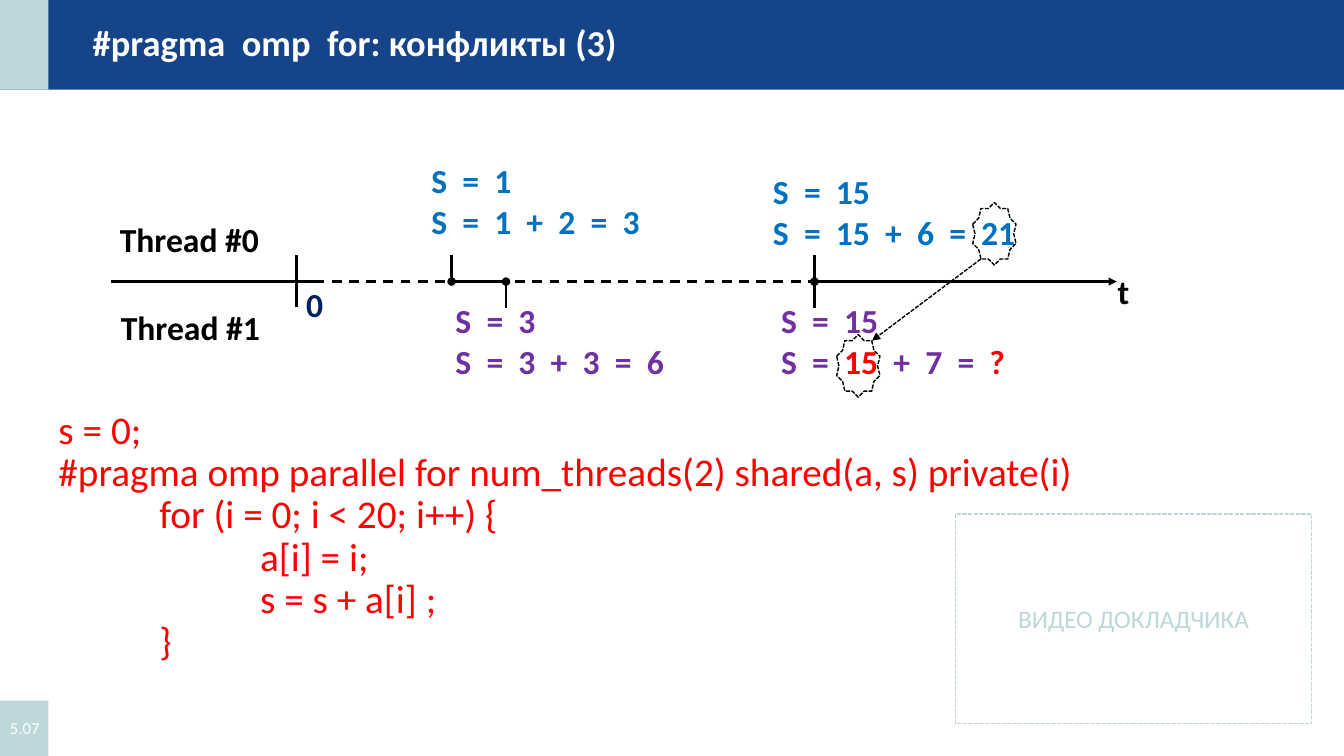
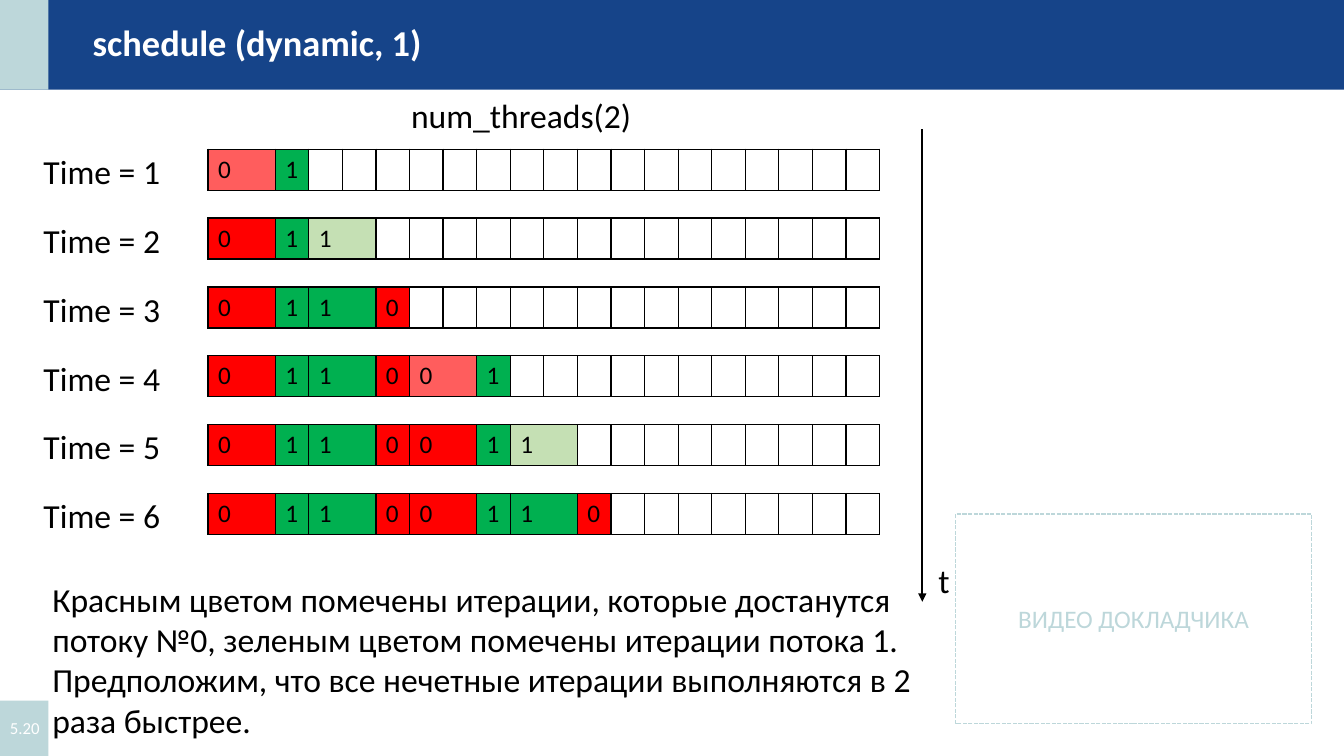
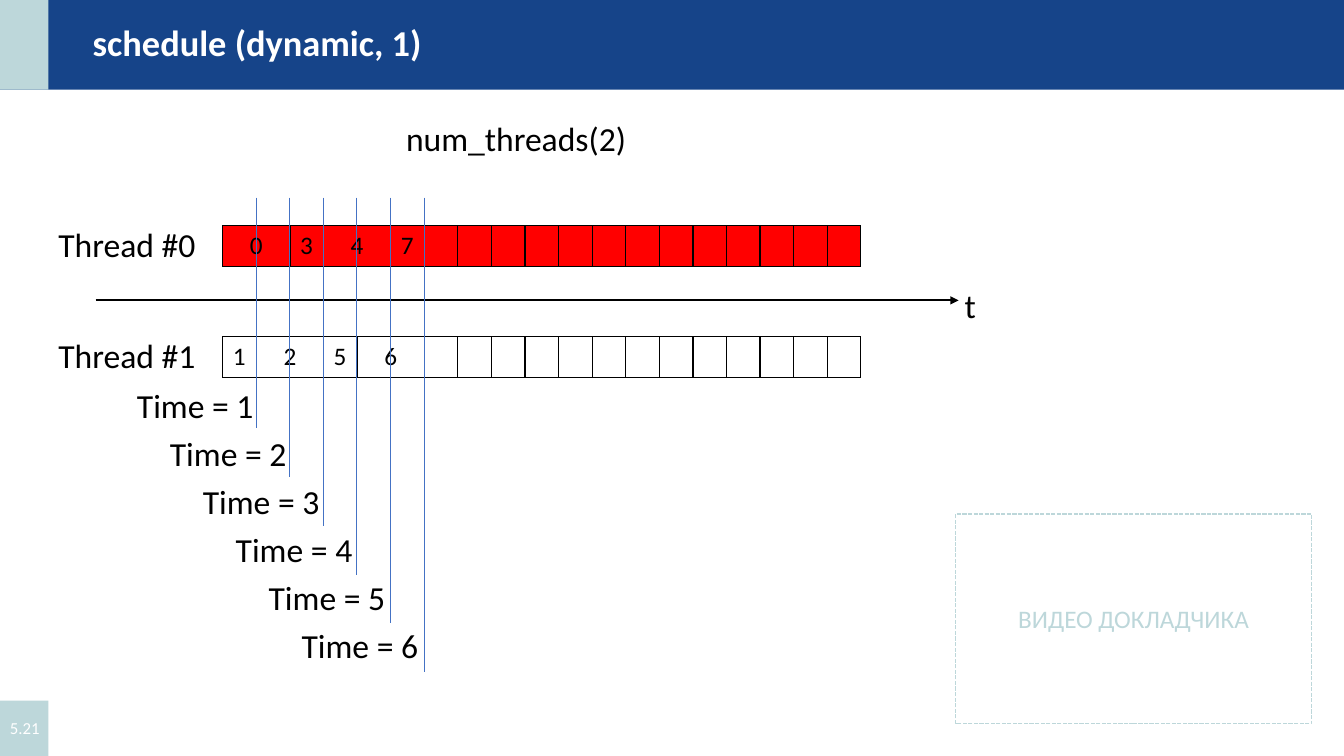
import dataclasses

import lxml.etree
import pptx
import pptx.dml.color
import pptx.enum.dml
import pptx.enum.shapes
import pptx.enum.text
import pptx.oxml.ns
import pptx.util

COLS, ROWS = 40, 22.5
UNIT = pptx.util.Inches(13.33) / COLS
SHAPE = pptx.enum.shapes.MSO_SHAPE
ALIGN = pptx.enum.text.PP_ALIGN
MIDDLE = pptx.enum.text.MSO_ANCHOR.MIDDLE
DASH = pptx.enum.dml.MSO_LINE.DASH
DOTS = pptx.enum.dml.MSO_LINE.SQUARE_DOT


@dataclasses.dataclass(frozen=True)
class Theme:
    font: str = "Calibri"
    navy: str = "164489"
    mist: str = "BDD7DA"
    white: str = "FFFFFF"
    black: str = "000000"
    red: str = "FF0000"
    rose: str = "FF5D5D"
    green: str = "00B050"
    lime: str = "C5E0B4"
    blue: str = "0070C0"
    violet: str = "7030A0"
    ink: str = "002060"
    mark: str = "4472C4"
    code: int = 28
    title: int = 26
    text: int = 24
    cell: int = 18
    page: int = 12


T = Theme()

# Iterations in order: the thread that runs each, and its length in cells
TASKS = [(0, 2), (1, 1), (1, 2), (0, 1), (0, 2), (1, 1), (1, 2), (0, 1)]
# For each time step: iterations handed out, and the one still running
STEPS = [(2, 0), (3, 2), (4, None), (6, 4), (7, 6), (8, None)]
DONE = (T.red, T.green)
BUSY = (T.rose, T.lime)


def span(*cells):
    """Grid cells to slide lengths."""
    return [round(cell * UNIT) for cell in cells]


def tint(name):
    return pptx.dml.color.RGBColor.from_string(name)


def node(home, tag, **attrs):
    return lxml.etree.SubElement(home, pptx.oxml.ns.qn(tag), attrs)


def assign(item, values):
    for name, value in values.items():
        setattr(item, name, value)


def write(frame, lines, size=T.text, color=T.black, bold=False, **para):
    """Each line is a string or a list of (text, colour) runs."""
    for num, line in enumerate(lines):
        item = frame.add_paragraph() if num else frame.paragraphs[0]
        assign(item, para)
        for text, shade in [(line, color)] if isinstance(line, str) else line:
            run = item.add_run()
            run.text = text
            assign(run.font, {"name": T.font, "size": pptx.util.Pt(size), "bold": bold})
            run.font.color.rgb = tint(shade)


def label(slide, box, *lines, **style):
    frame = slide.shapes.add_textbox(*span(*box)).text_frame
    frame.word_wrap = True
    write(frame, lines, **style)
    return frame


def block(slide, box, fill=None, line=None, kind=SHAPE.RECTANGLE):
    shape = slide.shapes.add_shape(kind, *span(*box))
    shape.shadow.inherit = False
    if fill:
        shape.fill.solid()
        shape.fill.fore_color.rgb = tint(fill)
    else:
        shape.fill.background()
    if line:
        assign(shape.line, {"width": pptx.util.Pt(1), "dash_style": DOTS})
        shape.line.color.rgb = tint(line)
    else:
        shape.line.fill.background()
    return shape


def rule(slide, ends, width, color=T.black, dash=None, tip=None):
    straight = pptx.enum.shapes.MSO_CONNECTOR.STRAIGHT
    item = slide.shapes.add_connector(straight, *span(*ends))
    item.line.color.rgb = tint(color)
    assign(item.line, {"width": pptx.util.Pt(width), "dash_style": dash})
    if tip:
        node(item.line._ln, "a:tailEnd", type=tip)
    node(item._element.spPr, "a:effectLst")


def edge(cell):
    """Thin black border on all four sides, ahead of the fill."""
    props = cell._tc.get_or_add_tcPr()
    for pos, side in enumerate(("a:lnL", "a:lnR", "a:lnT", "a:lnB")):
        line = node(props, side, w=str(pptx.util.Pt(1)))
        node(node(line, "a:solidFill"), "a:srgbClr", val=T.black)
        props.insert(pos, line)


def strip(slide, left, top, total, cells, rest=None, center=False):
    """One-row table: (text, width, fill) cells, then single cells up to total."""
    free = total - sum(width for _, width, _ in cells)
    cells = cells + [("", 1, rest)] * free
    box = span(left, top, total, 1.22)
    frame = slide.shapes.add_table(1, len(cells), *box)
    table = frame.table
    assign(table, {"first_row": False, "horz_banding": False})
    for num, (text, width, fill) in enumerate(cells):
        table.columns[num].width = span(width)[0]
        cell = table.cell(0, num)
        if fill:
            cell.fill.solid()
            cell.fill.fore_color.rgb = tint(fill)
        else:
            cell.fill.background()
        edge(cell)
        if text:
            side = ALIGN.CENTER if center and width > 1 else ALIGN.LEFT
            write(cell.text_frame, [text], size=T.cell, alignment=side)


def place(shape, box):
    assign(shape, dict(zip(("left", "top", "width", "height"), span(*box))))
    shape.text_frame.auto_size = pptx.enum.text.MSO_AUTO_SIZE.NONE


def start(deck, title, page, layout=5):
    """New slide with the shared bands, video frame, title and page tag."""
    slide = deck.slides.add_slide(deck.slide_layouts[layout])
    block(slide, (0, 0, COLS, 2.67), T.navy)
    block(slide, (0, 0, 1.44, 2.67), T.mist)
    video = block(slide, (28.44, 15.3, 10.6, 6.24), line=T.mist)
    write(video.text_frame, ["ВИДЕО ДОКЛАДЧИКА"], size=T.cell, color=T.mist,
          alignment=ALIGN.CENTER)
    block(slide, (0, 20.85, 1.44, 1.65), T.mist)
    head = slide.shapes.title
    place(head, (2.46, 0.72, 29.07, 1.2))
    head.text_frame.vertical_anchor = MIDDLE
    write(head.text_frame, [title], size=T.title, color=T.white, bold=True,
          alignment=ALIGN.LEFT, line_spacing=0.9)
    slide.shapes._spTree.append(head._element)
    tag = label(slide, (0, 21.06, 1.68, 1.2), page, size=T.page, color=T.white)
    tag.vertical_anchor = MIDDLE
    return slide


def listing(slide, lines):
    """Code in the body placeholder; each line is (depth, text)."""
    body = slide.placeholders[1]
    place(body, (1.44, 12.06, 38.5, 10.4))
    frame = body.text_frame
    write(frame, [text for _, text in lines], size=T.code, color=T.red,
          alignment=ALIGN.JUSTIFY, line_spacing=0.9, space_before=pptx.util.Pt(0))
    for item, (depth, _) in zip(frame.paragraphs, lines):
        props = item._p.get_or_add_pPr()
        props.set("marL", str(pptx.util.Inches(depth)))
        props.set("indent", "0")
        node(props, "a:buNone")


def races(deck):
    slide = start(deck, "#pragma  omp  for: конфликты (3)", "5.07", layout=1)
    listing(slide, [
        (0, "s = 0;"),
        (0, "#pragma omp parallel for num_threads(2) shared(a, s) private(i)"),
        (1, "for (i = 0; i < 20; i++) {"),
        (2, "a[i] = i;"),
        (2, "s = s + a[i] ;"),
        (1, "}"),
    ])

    axis, zero, first, second, third = 8.38, 8.82, 13.44, 15.06, 24.24
    for left, right, dash, tip in (
        (3.3, 9.63, None, None), (9.36, 13.68, DASH, None),
        (first, second, None, None), (15.33, third, DASH, None),
        (third, 33.24, None, "triangle"),
    ):
        rule(slide, (left, axis, right, axis), 1.75, dash=dash, tip=tip)
    rule(slide, (zero, axis - 0.78, zero, axis + 0.76), 2)
    for left, way in ((first, -1), (third, -1), (second, 1), (third, 1)):
        rule(slide, (left, axis + way * 0.78, left, axis), 2, tip="oval")

    last = [("S  =  ", T.violet), ("15 ", T.red), (" +  7  =  ", T.violet), ("?", T.red)]
    for box, color, *lines in (
        ((3.27, 6.36, 5.1, 1.56), T.black, "Thread #0"),
        ((3.3, 9, 5.1, 1.5), T.black, "Thread #1"),
        ((32.97, 7.92, 2.13, 1.5), T.black, "t"),
        ((8.82, 8.31, 1.41, 1.5), T.ink, "0"),
        ((12.54, 4.62, 7.26, 2.73), T.blue, "S  =  1", "S  =  1  +  2  =  3"),
        ((13.26, 8.79, 8.28, 2.73), T.violet, "S  =  3", "S  =  3  +  3  =  6"),
        ((22.71, 4.95, 8.25, 2.73), T.blue, "S  =  15", "S  =  15  +  6  =  21"),
        ((22.95, 8.79, 9.15, 2.73), T.violet, "S  =  15", last),
    ):
        label(slide, box, *lines, color=color, bold=True)

    for left, top in ((28.95, 6.03), (24.9, 9.96)):
        star = block(slide, (left, top, 1.29, 1.86), line=T.black,
                     kind=SHAPE.STAR_10_POINT)
        star.adjustments[0] = 0.425
    rule(slide, (29.19, 7.71, 25.95, 10.14), 1, dash=DOTS, tip="triangle")


def steps(deck):
    slide = start(deck, "schedule (dynamic, 1)", "5.20")
    label(slide, (11.94, 2.67, 7.23, 1.5), "num_threads(2)")
    label(
        slide, (1.26, 17.07, 26.94, 5.16),
        "Красным цветом помечены итерации, которые достанутся потоку №0, "
        "зеленым цветом помечены итерации потока 1.",
        "Предположим, что все нечетные итерации выполняются в 2 раза быстрее.",
    )
    for num, (count, busy) in enumerate(STEPS):
        top = 4.44 + 2.05 * num
        cells = [(str(who), size, (BUSY if pos == busy else DONE)[who])
                 for pos, (who, size) in enumerate(TASKS[:count])]
        strip(slide, 6.19, top, 20, cells)
        label(slide, (1, top - 0.1, 4.4, 1.5), f"Time = {num + 1}")
    rule(slide, (27.45, 3.84, 27.45, 17.91), 1.5, tip="triangle")
    label(slide, (27.63, 16.53, 0.93, 1.5), "t")


def lanes(deck):
    slide = start(deck, "schedule (dynamic, 1)", "5.21")
    label(slide, (11.79, 3.36, 7.23, 1.5), "num_threads(2)")
    for who, (top, fill) in enumerate(((6.72, T.red), (10.02, None))):
        cells = [(str(pos), size, fill)
                 for pos, (owner, size) in enumerate(TASKS) if owner == who]
        strip(slide, 6.63, top, 19, cells, rest=fill, center=True)
        label(slide, (1.44, top - 0.2, 5.04, 1.5), f"Thread #{who}")
    rule(slide, (2.85, 8.94, 28.53, 8.94), 1.5, tip="triangle")
    label(slide, (28.41, 8.34, 0.93, 1.5), "t")
    for num in range(len(STEPS)):
        left = 7.62 + num
        rule(slide, (left, 5.88, left, 12.75 + 1.45 * num), 0.5, T.mark)
        label(slide, (3.78 + 0.98 * num, 11.31 + 1.43 * num, 4.26, 1.5),
              f"Time = {num + 1}")


def main():
    deck = pptx.Presentation()
    wide, high = span(COLS, ROWS)
    assign(deck, {"slide_width": wide, "slide_height": high})
    for build in (races, steps, lanes):
        build(deck)
    deck.save("out.pptx")


if __name__ == "__main__":
    main()
